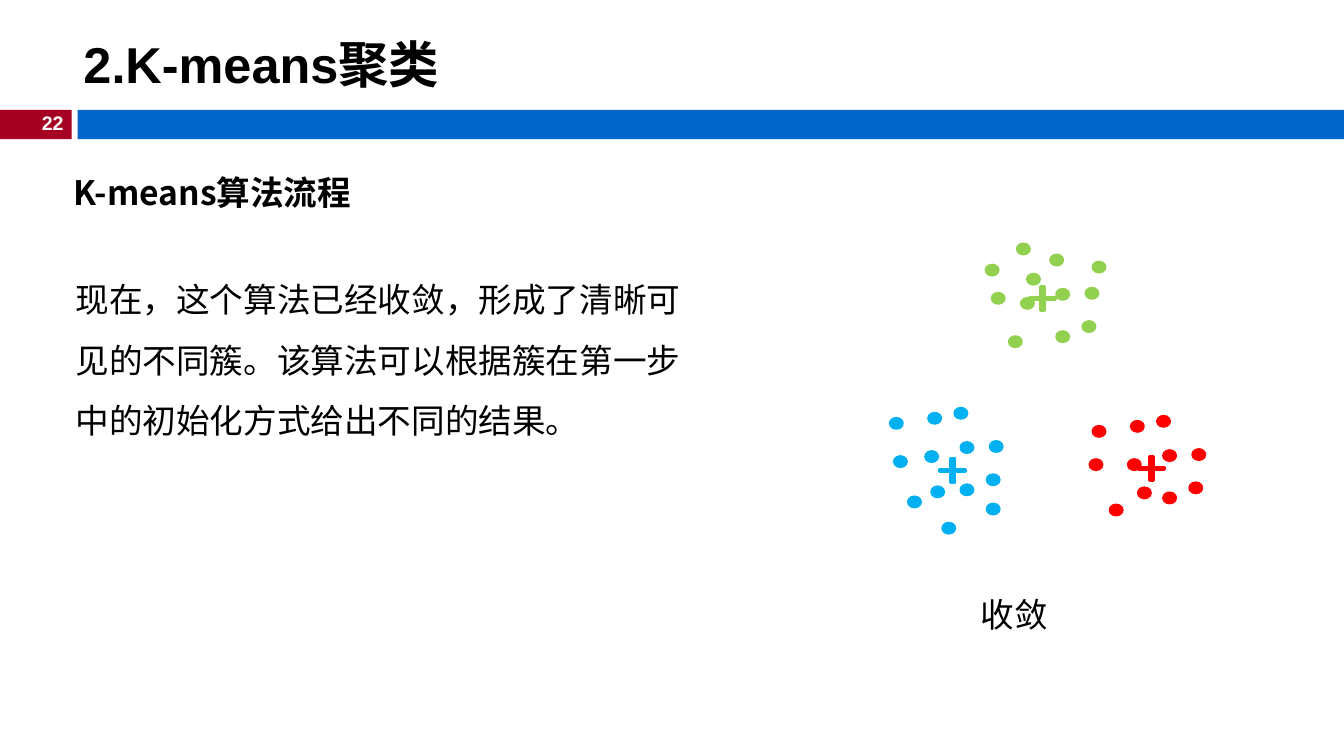
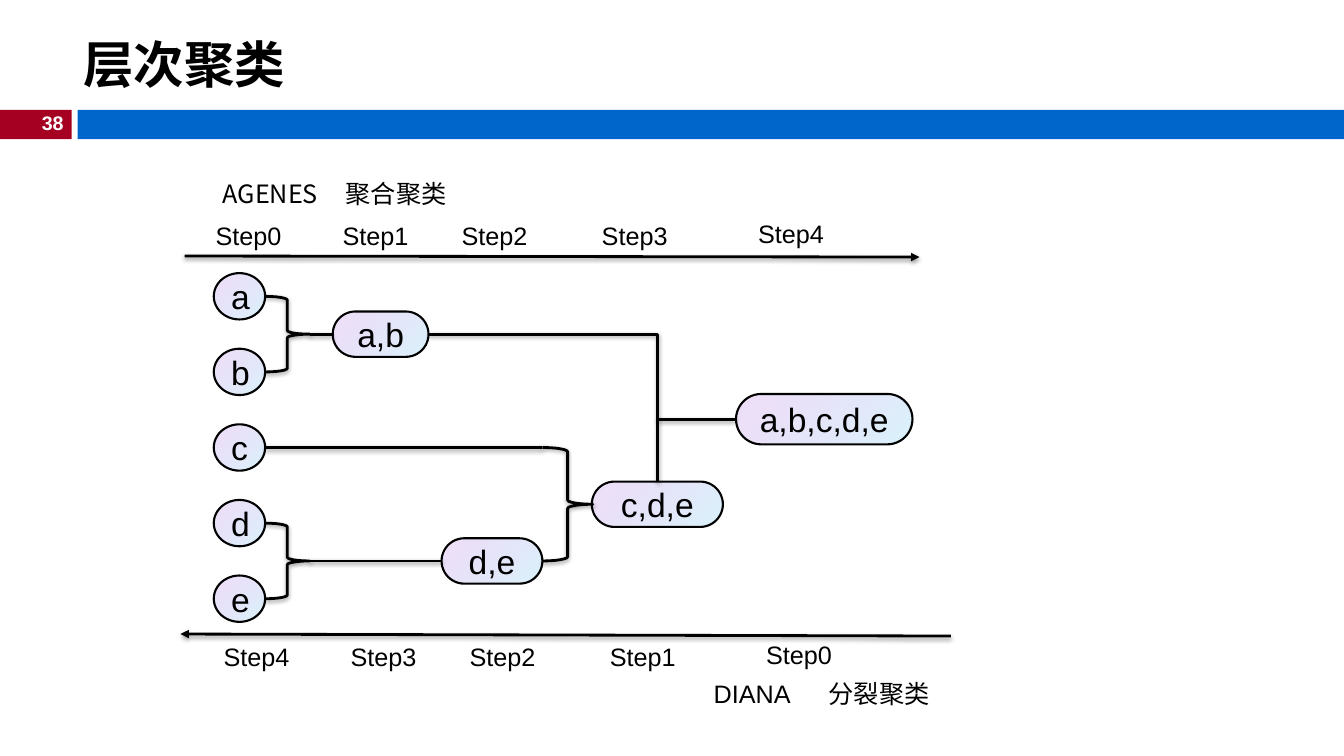
from lxml import etree
from pptx import Presentation
from pptx.dml import color
from pptx.enum import shapes, text
from pptx.oxml import ns
from pptx.util import Inches, Pt

BLACK, WHITE = "000000", "FFFFFF"
BLUE_BAND, RED_BAND = "0066CC", "A50021"
SKY, GREEN, RED = "00B0F0", "92D050", "FF0000"
LATIN, CHINESE = "Arial", "Noto Sans CJK SC"
ALIGN, ANCHOR = text.PP_ALIGN, text.MSO_ANCHOR
SHAPE, CONNECTOR = shapes.MSO_SHAPE, shapes.MSO_CONNECTOR
TOP, LEFT, RIGHT = 0, 1, 3  # connection sites of a rectangle

# Cluster points, relative to the corner of a cluster
COMMON_POINTS = [(0.67, 0), (0.03, 0.1), (0.38, 0.43), (0.73, 0.76),
                 (1.02, 0.33), (0.99, 0.66), (0.73, 0.34)]
CLUSTERS = [  # colour, corner, centre mark, further points
    (SKY, (0, 1.63), (0.52, 0.5), [(0.41, 0.05), (0.55, 1.14), (0.99, 0.95),
                                   (0.21, 0.88), (0.07, 0.48), (0.44, 0.78)]),
    (GREEN, (0.95, 0.11), (0.46, 0.31), [(0.34, -0.11), (1.09, 0.07), (0.09, 0.38),
                                         (0.26, 0.81), (0.44, 0.19)]),
    (RED, (2.01, 1.71), (0.48, 0.4), [(0.41, 0.05), (0.48, 0.71), (0, 0.43),
                                      (0.2, 0.88)]),
]
STEP_LEFTS = [0.24, 1.5, 2.68, 4.07, 5.62]


def rgb(value):
    return color.RGBColor.from_string(value)


def sub(parent, tag, **attributes):
    return etree.SubElement(parent, ns.qn(tag), attributes)


def add_run(paragraph, words, size, bold=False, colour=BLACK, font=LATIN):
    run = paragraph.add_run()
    run.text = words
    run.font.size, run.font.bold, run.font.name = Pt(size), bold, font
    run.font.color.rgb = rgb(colour)
    sub(run._r.get_or_add_rPr(), "a:ea", typeface=CHINESE)


def add_text(slide, left, top, width, height, words, size, align=ALIGN.LEFT,
             anchor=ANCHOR.TOP, spacing=None, **style):
    box = slide.shapes.add_textbox(Inches(left), Inches(top), Inches(width), Inches(height))
    box.text_frame.word_wrap = True
    box.text_frame.vertical_anchor = anchor
    paragraph = box.text_frame.paragraphs[0]
    paragraph.alignment = align
    if spacing:
        paragraph.line_spacing = spacing
    add_run(paragraph, words, size, **style)
    return paragraph


def add_shape(parent, kind, left, top, width, height, fill=None, line=None, weight=2):
    shape = parent.shapes.add_shape(kind, Inches(left), Inches(top),
                                    Inches(width), Inches(height))
    if fill:
        shape.fill.solid()
        shape.fill.fore_color.rgb = rgb(fill)
    else:
        shape.fill.background()
    if line:
        shape.line.color.rgb = rgb(line)
        shape.line.width = Pt(weight)
    else:
        shape.line.fill.background()
    shape.shadow.inherit = False
    return shape


def add_shadow(effects):
    shadow = sub(effects, "a:outerShdw", blurRad="40000", dist="20000",
                 dir="5400000", rotWithShape="0")
    sub(sub(shadow, "a:srgbClr", val=BLACK), "a:alpha", val="38000")


def add_line(slide, start, end, kind=CONNECTOR.STRAIGHT, arrow=False):
    line = slide.shapes.add_connector(kind, *(Inches(value) for value in (*start, *end)))
    line.line.color.rgb = rgb(BLACK)
    line.line.width = Pt(2)
    properties = line._element.spPr
    if arrow:
        sub(properties.find(ns.qn("a:ln")), "a:tailEnd", type="triangle")
    add_shadow(sub(properties, "a:effectLst"))
    return line


def add_frame(presentation, title, number):
    """Blank slide with the title, the bands and the page number."""
    slide = presentation.slides.add_slide(presentation.slide_layouts[6])
    add_shape(slide, SHAPE.RECTANGLE, 0, 1.09, 0.71, 0.29, RED_BAND)
    add_shape(slide, SHAPE.RECTANGLE, 0.77, 1.09, 12.56, 0.29, BLUE_BAND)
    add_text(slide, 0.29, 1.05, 0.44, 0.34, number, 14, ALIGN.RIGHT,
             bold=True, colour=WHITE)
    add_text(slide, 0.73, 0.26, 12.6, 0.74, title, 36, anchor=ANCHOR.MIDDLE, bold=True)
    return slide


def add_explanation(slide, left, top):
    heading = add_text(slide, left, top, 6.67, 0.63, "K-means算法流程", 24,
                       ALIGN.JUSTIFY, spacing=1.5, bold=True, font=CHINESE)
    heading._p.get_or_add_pPr().set("indent", str(Inches(0.29)))
    add_text(slide, left + 0.31, top + 1.06, 6.36, 1.85,
             "现在，这个算法已经收敛，形成了清晰可见的不同簇。"
             "该算法可以根据簇在第一步中的初始化方式给出不同的结果。", 24, spacing=1.5)


def add_clusters(slide, left, top):
    for colour, (x, y), (mark_x, mark_y), points in CLUSTERS:
        group = slide.shapes.add_group_shape()
        x, y = left + x, top + y
        for point_x, point_y in COMMON_POINTS + points:
            add_shape(group, SHAPE.OVAL, x + point_x, y + point_y, 0.12, 0.1, colour, colour)
        mark = add_shape(group, SHAPE.CROSS, x + mark_x, y + mark_y, 0.26, 0.24,
                         colour, colour)
        mark.adjustments[0] = 0.45
    add_text(slide, left + 0.83, top + 3.42, 1.93, 0.5, "收敛", 24)


def add_node(slide, kind, left, middle, width, height, words):
    node = add_shape(slide, kind, left, middle - height / 2, width, height,
                     line=BLACK, weight=1.5)
    if kind == SHAPE.ROUNDED_RECTANGLE:
        node.adjustments[0] = 0.5
    # Translucent gradient, blue at the lower right
    node.fill.gradient()
    node.fill.gradient_angle = 135
    for stop, colour in zip(node.fill.gradient_stops, ("69D4F4", "9F39D5")):
        stop.color.rgb = rgb(colour)
    tints = node._element.spPr.iter(ns.qn("a:gs"))
    for stop, alpha in zip(tints, ("26000", "17000")):
        sub(stop[0], "a:alpha", val=alpha)
    frame = node.text_frame
    frame.margin_left = frame.margin_right = Inches(0.1)
    frame.margin_top = frame.margin_bottom = Inches(0.1)
    frame.vertical_anchor = ANCHOR.MIDDLE
    frame.paragraphs[0].alignment = ALIGN.CENTER
    add_run(frame.paragraphs[0], words, 24)
    return node


def add_brace(slide, left, first, last, width):
    brace = add_shape(slide, SHAPE.RIGHT_BRACE, left, first, width, last - first, line=BLACK)
    add_shadow(brace._element.spPr.find(ns.qn("a:effectLst")))


def add_steps(slide, left, top, numbers):
    for number, x in zip(numbers, STEP_LEFTS):
        raised = 0.02 if x == STEP_LEFTS[-1] else 0
        add_text(slide, left + x, top - raised, 1, 0.36, f"Step{number}", 18)


def add_tree(slide, left, top):
    """Merging tree; heights of the joins follow from the leaves."""
    leaf_left, leaf_width = left + 0.32, 0.51
    leaf_right = leaf_left + leaf_width
    a, b, c, d, e = (top + 0.23 + 0.75 * row for row in range(5))
    ab, de = (a + b) / 2, (d + e) / 2
    cde = (c + de) / 2
    root = (ab + cde) / 2
    brace_right = leaf_right + 0.44
    de_left, cde_left = left + 2.58, left + 4.07
    de_right, trunk = de_left + 1, cde_left + 0.65

    # Nodes
    for middle, name in zip((a, b, c, d, e), "abcde"):
        add_node(slide, SHAPE.OVAL, leaf_left, middle, leaf_width, 0.46, name)
    pill = SHAPE.ROUNDED_RECTANGLE
    ab_node = add_node(slide, pill, left + 1.5, ab, 0.95, 0.45, "a,b")
    de_node = add_node(slide, pill, de_left, de, 1, 0.45, "d,e")
    cde_node = add_node(slide, pill, cde_left, cde, 1.3, 0.45, "c,d,e")
    root_node = add_node(slide, pill, left + 5.5, root, 1.75, 0.5, "a,b,c,d,e")

    # Joins
    add_brace(slide, leaf_right, a, b, 0.44)
    add_brace(slide, leaf_right, d, e, 0.44)
    add_brace(slide, de_right, c, de, 0.5)
    for middle, node in ((ab, ab_node), (de, de_node)):
        line = add_line(slide, (brace_right, middle), (brace_right + 0.2, middle))
        line.end_connect(node, LEFT)
    add_line(slide, (leaf_right, c), (de_right, c))
    elbow = add_line(slide, (left + 2.45, ab), (trunk, cde - 0.23), CONNECTOR.ELBOW)
    elbow._element.spPr.find(ns.qn("a:prstGeom")).set("prst", "bentConnector2")
    elbow.begin_connect(ab_node, RIGHT)
    elbow.end_connect(cde_node, TOP)
    line = add_line(slide, (left + 5.5, root), (trunk, root))
    line.begin_connect(root_node, LEFT)


def add_hierarchy(slide, left, top):
    # Agglomerative direction
    add_text(slide, left + 0.31, top + 0.02, 1.22, 0.4, "AGENES", 18, font=CHINESE)
    add_text(slide, left + 1.53, top + 0.02, 1.66, 0.4, "聚合聚类", 18, font=CHINESE)
    add_steps(slide, left, top + 0.44, range(5))
    add_line(slide, (left + 0.03, top + 0.84), (left + 7.32, top + 0.85), arrow=True)
    add_tree(slide, left, top + 1.01)
    # Divisive direction
    add_line(slide, (left + 7.63, top + 4.61), (left - 0.01, top + 4.59), arrow=True)
    add_steps(slide, left + 0.08, top + 4.61, range(4, -1, -1))
    add_text(slide, left + 5.18, top + 4.98, 1.24, 0.4, "DIANA", 18)
    add_text(slide, left + 6.32, top + 4.98, 1.66, 0.4, "分裂聚类", 18)


def main():
    presentation = Presentation()
    presentation.slide_width, presentation.slide_height = Inches(13.33), Inches(7.5)

    slide = add_frame(presentation, "2.K-means聚类", "22")
    add_explanation(slide, 0.34, 1.46)
    add_clusters(slide, 8.8, 2.42)

    slide = add_frame(presentation, "层次聚类", "38")
    add_hierarchy(slide, 1.8, 1.7)

    presentation.save("out.pptx")


if __name__ == "__main__":
    main()
